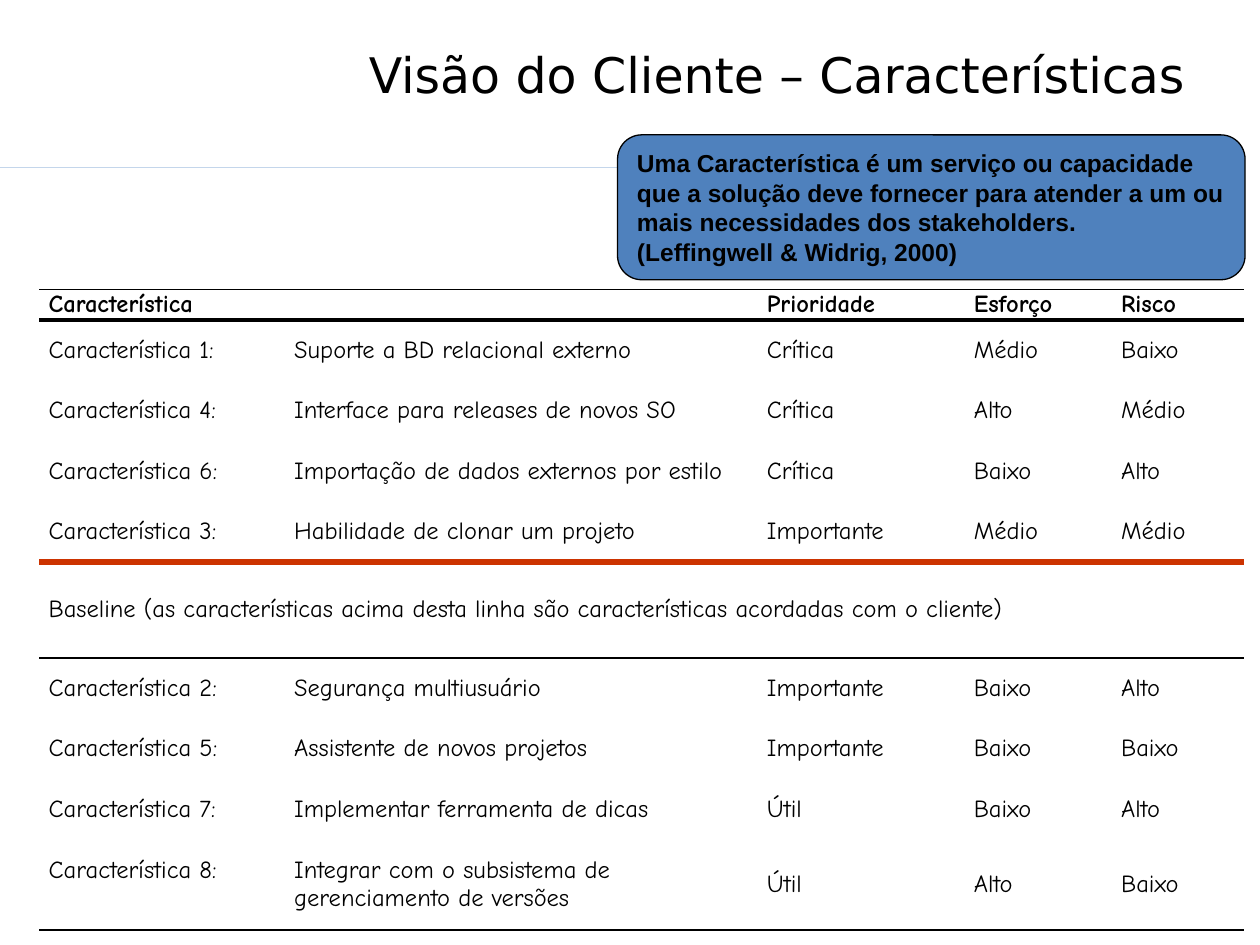
from lxml.etree import SubElement
from pptx import Presentation
from pptx.dml.color import RGBColor
from pptx.enum.shapes import MSO_CONNECTOR, MSO_SHAPE
from pptx.enum.text import MSO_ANCHOR, PP_ALIGN
from pptx.oxml.ns import qn
from pptx.util import Cm, Pt

TITLE = "Visão do Cliente – Características"
QUOTE = [
    "Uma Característica é um serviço ou capacidade que a solução deve "
    "fornecer para atender a um ou mais necessidades dos stakeholders.",
    "(Leffingwell & Widrig, 2000)",
]
HEAD = ["Característica", "Prioridade", "Esforço", "Risco"]
AGREED = [
    (1, "Suporte a BD relacional externo", "Crítica", "Médio", "Baixo"),
    (4, "Interface para releases de novos SO", "Crítica", "Alto", "Médio"),
    (6, "Importação de dados externos por estilo", "Crítica", "Baixo", "Alto"),
    (3, "Habilidade de clonar um projeto", "Importante", "Médio", "Médio"),
]
BASE = ("Baseline (as características acima desta linha são características "
        "acordadas com o cliente)")
LATER = [
    (2, "Segurança multiusuário", "Importante", "Baixo", "Alto"),
    (5, "Assistente de novos projetos", "Importante", "Baixo", "Baixo"),
    (7, "Implementar ferramenta de dicas", "Útil", "Baixo", "Alto"),
    (8, "Integrar com o subsistema de gerenciamento de versões",
     "Útil", "Alto", "Baixo"),
]
COLS = [14.48, 4.17, 2.97, 2.67]
TALL = {"head": 0.61, "item": 1.22, "base": 1.93, "last": 1.83}
HANG = Cm(4.95)
BLACK, RED, BLUE, PALE = "000000", "CC3300", "4F81BD", "C4D6EB"


def color(code):
    return RGBColor.from_string(code)


def style(para, face, size, bold=False):
    para.font.name = face
    para.font.size = Pt(size)
    para.font.bold = bold
    para.font.color.rgb = color(BLACK)


def border(cell, rules):
    """Draw the given sides of a cell and clear the others."""
    props = cell._tc.get_or_add_tcPr()
    for side in ("lnL", "lnR", "lnT", "lnB"):
        line = SubElement(props, qn("a:" + side))
        if rules.get(side):
            code, width = rules[side]
            line.set("w", str(Pt(width)))
            fill = SubElement(line, qn("a:solidFill"))
            SubElement(fill, qn("a:srgbClr")).set("val", code)
        else:
            SubElement(line, qn("a:noFill"))


def add_rule(slide):
    rule = slide.shapes.add_connector(
        MSO_CONNECTOR.STRAIGHT, 0, Cm(3.38), Cm(19.05), Cm(3.38))
    rule.line.color.rgb = color(PALE)
    rule.line.width = Pt(0.75)
    SubElement(rule._element.spPr, qn("a:effectLst"))


def add_title(slide):
    title = slide.shapes.title
    title.left, title.top = Cm(1.27), Cm(0.76)
    title.width, title.height = Cm(22.86), Cm(3.18)
    frame = title.text_frame
    frame.text = TITLE
    frame.vertical_anchor = MSO_ANCHOR.TOP
    para = frame.paragraphs[0]
    para.alignment = PP_ALIGN.RIGHT
    style(para, "DejaVu Sans", 28)


def add_grid(slide):
    items = [[f"Característica {num}: \t{name}", *marks]
             for num, name, *marks in AGREED + LATER]
    cut = len(AGREED)
    rows = [HEAD, *items[:cut], [BASE, "", "", ""], *items[cut:]]
    base, last = cut + 1, len(rows) - 1
    talls = {0: "head", base: "base", last: "last"}
    # Each rule lies above the row of that number.
    rules = {0: (BLACK, 1), 1: (BLACK, 3), base: (RED, 4.5),
             base + 1: (BLACK, 1), last + 1: (BLACK, 1)}
    highs = [TALL[talls.get(i, "item")] for i in range(len(rows))]
    table = slide.shapes.add_table(
        len(rows), len(COLS), Cm(0.79), Cm(5.84),
        Cm(sum(COLS)), Cm(sum(highs))).table
    table.first_row = table.horz_banding = False
    for col, wide in zip(table.columns, COLS):
        col.width = Cm(wide)
    for i, row in enumerate(rows):
        table.rows[i].height = Cm(highs[i])
        for j, text in enumerate(row):
            cell = table.cell(i, j)
            cell.margin_left = cell.margin_right = Cm(0.19)
            cell.margin_top = cell.margin_bottom = 0
            cell.vertical_anchor = MSO_ANCHOR.MIDDLE
            border(cell, {"lnT": rules.get(i), "lnB": rules.get(i + 1)})
            cell.fill.background()
            cell.text = text
            para = cell.text_frame.paragraphs[0]
            if "\t" in text:
                props = para._p.get_or_add_pPr()
                props.set("marL", str(HANG))
                props.set("indent", str(-HANG))
            style(para, "Comic Neue", 14, i == 0)
    table.cell(base, 0).merge(table.cell(base, len(COLS) - 1))


def add_quote(slide):
    box = slide.shapes.add_shape(
        MSO_SHAPE.ROUNDED_RECTANGLE, Cm(12.45), Cm(2.72), Cm(12.65), Cm(2.92))
    box.shadow.inherit = False
    box.fill.solid()
    box.fill.fore_color.rgb = color(BLUE)
    box.line.color.rgb = color(BLACK)
    box.line.width = Pt(0.75)
    frame = box.text_frame
    frame.word_wrap = True
    frame.vertical_anchor = MSO_ANCHOR.MIDDLE
    frame.text = "\n".join(QUOTE)
    for para in frame.paragraphs:
        para.alignment = PP_ALIGN.LEFT
        style(para, "Arial", 14, True)


def main():
    deck = Presentation()
    deck.slide_width, deck.slide_height = Cm(25.4), Cm(19.05)
    slide = deck.slides.add_slide(deck.slide_layouts[5])
    add_rule(slide)
    add_title(slide)
    add_grid(slide)
    add_quote(slide)
    deck.save("out.pptx")


if __name__ == "__main__":
    main()
